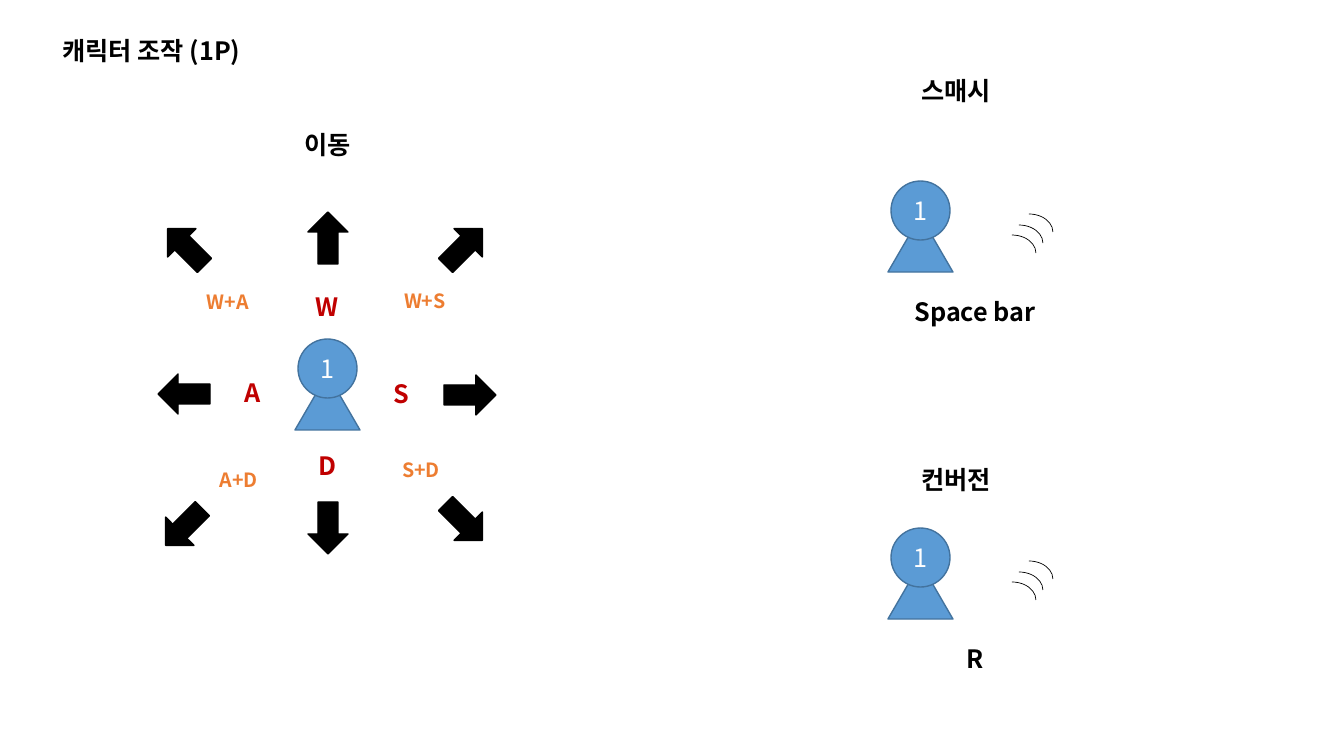
from lxml.etree import SubElement
from pptx import Presentation
from pptx.dml.color import RGBColor
from pptx.enum.shapes import MSO_SHAPE
from pptx.enum.text import MSO_ANCHOR, MSO_AUTO_SIZE, PP_ALIGN
from pptx.oxml.ns import qn
from pptx.util import Pt

PX = 914400 / 100.8
FONT = "Noto Sans CJK KR"
COLORS = {
    "black": "000000", "white": "FFFFFF", "body": "5B9BD5",
    "outline": "43739E", "key": "C00000", "combo": "ED7D31",
}

# Direction arrows: centre in the move region, rotation
ARROWS = [
    (178, 118, 270), (320, 275, 0), (178, 408, 90), (34, 274, 180),
    (36, 127, 225), (314, 127, 315), (314, 402, 45), (34, 407, 135),
]
# Key labels: text, centre in the move region
KEYS = [("W", 177, 186), ("S", 251, 273), ("D", 178, 345), ("A", 103, 272)]
COMBOS = [("W+S", 275, 181), ("S+D", 271, 350), ("A+D", 89, 360), ("W+A", 78, 182)]


def px(n):
    return round(n * PX)


def color(name):
    return RGBColor.from_string(COLORS[name])


def write(sp, text, size=18, fill="black", bold=True, anchor=MSO_ANCHOR.TOP):
    tf = sp.text_frame
    tf.word_wrap = True
    tf.auto_size = MSO_AUTO_SIZE.NONE
    tf.vertical_anchor = anchor
    p = tf.paragraphs[0]
    p.alignment = PP_ALIGN.CENTER
    p.line_spacing = 1.0
    r = p.add_run()
    r.text = text
    r.font.name = FONT
    r.font.size = Pt(size)
    r.font.bold = bold
    r.font.color.rgb = color(fill)
    SubElement(r._r.get_or_add_rPr(), qn("a:ea"), typeface=FONT)


def add_label(s, text, cx, cy, w=72, h=40, **fmt):
    sp = s.shapes.add_textbox(px(cx - w / 2), px(cy - h / 2), px(w), px(h))
    write(sp, text, **fmt)


def add_shape(shapes, kind, x, y, w, h, fill=None, line="black", weight=1):
    sp = shapes.add_shape(kind, px(x), px(y), px(w), px(h))
    sp.shadow.inherit = False
    if fill:
        sp.fill.solid()
        sp.fill.fore_color.rgb = color(fill)
    else:
        sp.fill.background()
    sp.line.color.rgb = color(line)
    sp.line.width = Pt(weight)
    return sp


def add_title(s, text, x, y, w, h):
    sp = s.shapes.title
    sp.left, sp.top, sp.width, sp.height = px(x), px(y), px(w), px(h)
    write(sp, text)


def add_character(s, x, y):
    add_shape(s.shapes, MSO_SHAPE.ISOSCELES_TRIANGLE, x, y + 35, 65, 56, "body", "outline")
    head = add_shape(s.shapes, MSO_SHAPE.OVAL, x + 3, y, 59, 59, "body", "outline")
    write(head, "1", fill="white", bold=False, anchor=MSO_ANCHOR.MIDDLE)


def add_move_region(s, x, y):
    add_label(s, "이동", x + 178, y + 24, w=115)
    add_character(s, x + 145, y + 219)
    for cx, cy, angle in ARROWS:
        arrow = add_shape(s.shapes, MSO_SHAPE.RIGHT_ARROW,
                          x + cx - 26, y + cy - 20, 52, 40, "black")
        arrow.rotation = angle
    for text, cx, cy in KEYS:
        add_label(s, text, x + cx, y + cy, fill="key")
    for text, cx, cy in COMBOS:
        add_label(s, text, x + cx, y + cy, h=34, size=14, fill="combo")


def add_action_region(s, name, key, x, y, name_rise):
    add_label(s, name, x + 68, y - name_rise, w=115)
    add_character(s, x, y)
    # Swing marks
    swing = s.shapes.add_group_shape()
    for dx, dy in [(100, 54), (107, 44), (117, 33)]:
        add_shape(swing.shapes, MSO_SHAPE.ARC, x + dx, y + dy, 48, 36, weight=0.5)
    add_label(s, key, x + 87, y + 130, w=171)


def main():
    prs = Presentation()
    prs.slide_width, prs.slide_height = px(1344), px(756)
    s = prs.slides.add_slide(prs.slide_layouts[5])
    add_title(s, "캐릭터 조작 (1P)", 11, 30, 281, 40)
    add_move_region(s, 150, 120)
    add_action_region(s, "스매시", "Space bar", 888, 181, name_rise=91)
    add_action_region(s, "컨버전", "R", 888, 528, name_rise=49)
    prs.save("out.pptx")


if __name__ == "__main__":
    main()
